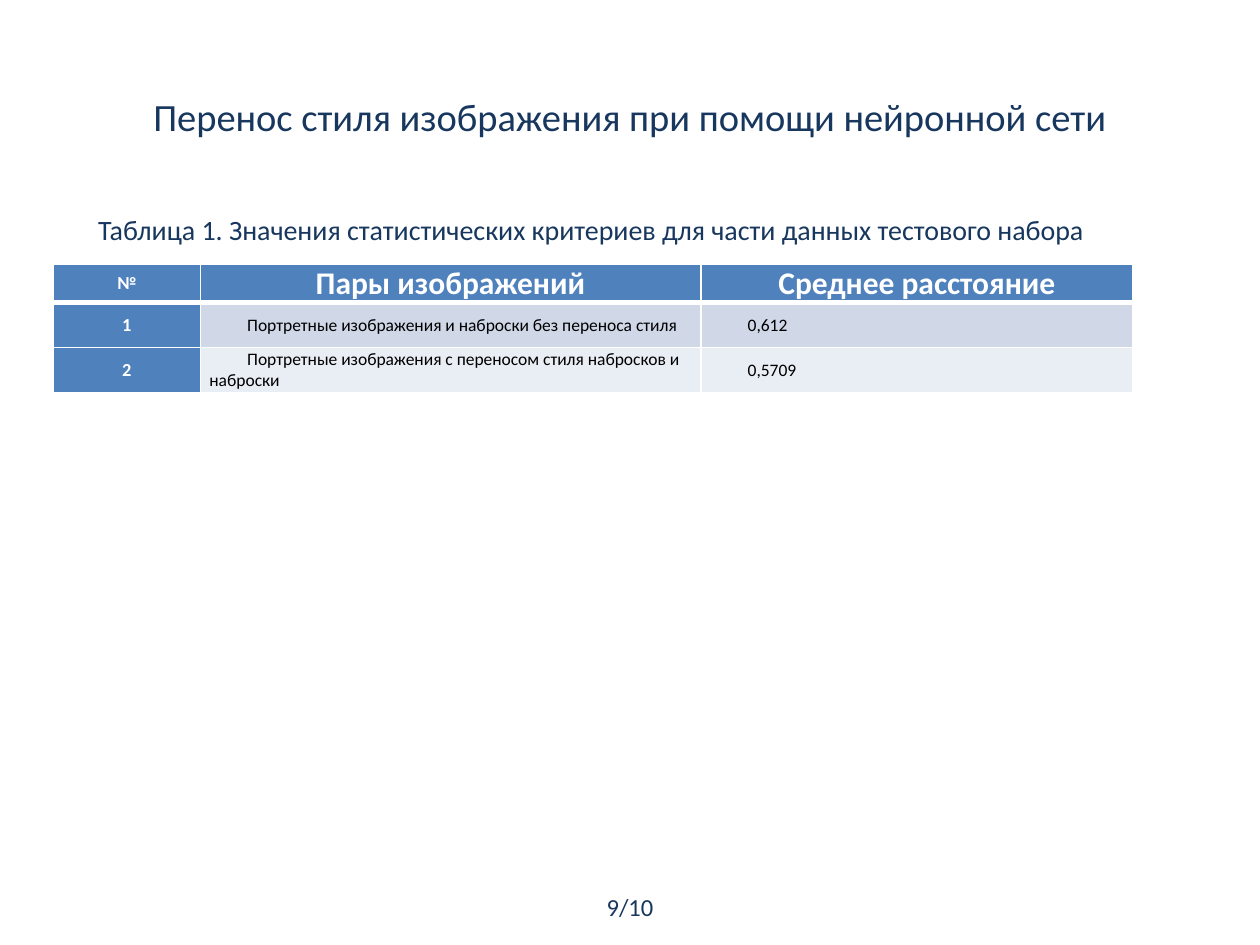
from lxml import etree
from pptx import Presentation
from pptx.dml.color import RGBColor
from pptx.enum.text import MSO_ANCHOR, PP_ALIGN
from pptx.oxml.ns import qn
from pptx.util import Pt

LEFT, CENTER = PP_ALIGN.LEFT, PP_ALIGN.CENTER
TOP, MIDDLE = MSO_ANCHOR.TOP, MSO_ANCHOR.MIDDLE
NAVY, BLUE, WHITE, BLACK = "17375E", "4F81BD", "FFFFFF", "000000"
BANDS = ["D0D8E8", "E9EDF4"]


def rgb(color):
    return RGBColor.from_string(color)


def write(tf, text, size, color=NAVY, bold=False, align=CENTER, indent=0):
    p = tf.paragraphs[0]
    p.alignment = align
    if indent:
        p._p.get_or_add_pPr().set("indent", str(Pt(indent)))
    r = p.add_run()
    r.text = text
    r.font.name = "Calibri"
    r.font.size = Pt(size)
    r.font.bold = bold
    r.font.color.rgb = rgb(color)


prs = Presentation()
prs.slide_width, prs.slide_height = Pt(720), Pt(540)
s = prs.slides.add_slide(prs.slide_layouts[6])

# Title, table caption and page number
for text, box, size, align, anchor, wrap in [
    ("Перенос стиля изображения при помощи нейронной сети",
     (36, 21.6, 648, 90), 22, CENTER, MIDDLE, True),
    ("Таблица 1. Значения статистических критериев для части данных тестового набора",
     (49, 118, 589, 26.6), 16, LEFT, TOP, False),
    ("9/10", (246, 504, 228, 28.8), 14, CENTER, MIDDLE, True),
]:
    tf = s.shapes.add_textbox(*map(Pt, box)).text_frame
    tf.word_wrap = wrap
    tf.vertical_anchor = anchor
    write(tf, text, size, align=align)

# Results table
rows = [
    ("№", "Пары изображений", "Среднее расстояние"),
    ("1", "Портретные изображения и наброски без переноса стиля", "0,612"),
    ("2", "Портретные изображения с переносом стиля набросков и наброски", "0,5709"),
]
widths, heights = [84, 286, 247], [22, 25.7, 25.7]
table = s.shapes.add_table(3, 3, Pt(30.5), Pt(151), Pt(sum(widths)), Pt(sum(heights))).table
for column, width in zip(table.columns, widths):
    column.width = Pt(width)
for row, height in zip(table.rows, heights):
    row.height = Pt(height)

for i, row in enumerate(rows):
    for j, text in enumerate(row):
        cell = table.cell(i, j)
        cell.margin_left = cell.margin_right = Pt(5.2)
        cell.margin_top = cell.margin_bottom = 0
        cell.vertical_anchor = MIDDLE
        thick = {0: "lnB", 1: "lnT"}.get(i)
        for side in ("lnL", "lnR", "lnT", "lnB"):
            ln = etree.SubElement(cell._tc.get_or_add_tcPr(), qn(f"a:{side}"))
            ln.set("w", str(Pt(3 if side == thick else 1)))
            fill = etree.SubElement(ln, qn("a:solidFill"))
            etree.SubElement(fill, qn("a:srgbClr")).set("val", WHITE)
        heading = i == 0 or j == 0
        cell.fill.solid()
        cell.fill.fore_color.rgb = rgb(BLUE if heading else BANDS[i - 1])
        if heading:
            write(cell.text_frame, text, 10.5 if j == 0 else 18, WHITE, bold=True)
        else:
            write(cell.text_frame, text, 10, BLACK, align=LEFT, indent=21.6)

prs.save("out.pptx")
